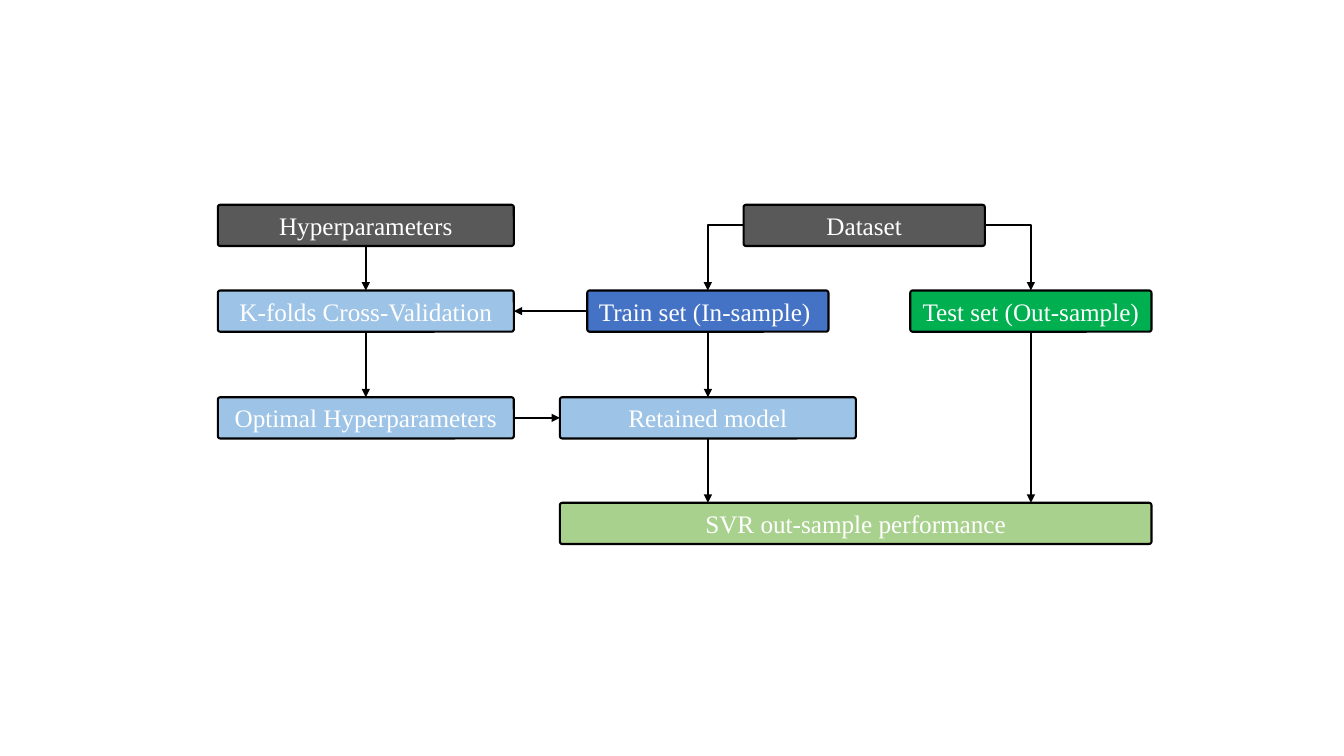
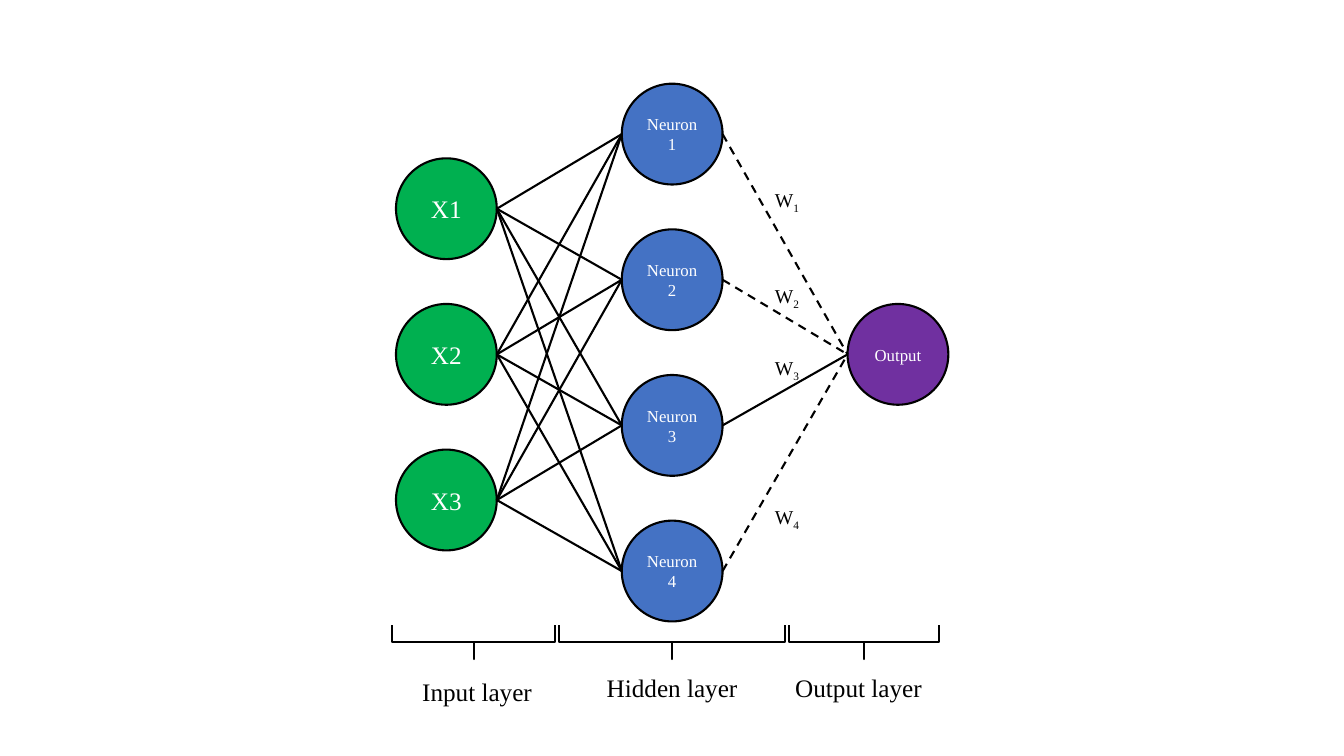
import lxml.etree
import pptx
import pptx.dml.color
import pptx.enum.dml
import pptx.enum.shapes
import pptx.enum.text
import pptx.oxml.ns
import pptx.util

Cm = pptx.util.Cm
SHAPES = pptx.enum.shapes.MSO_SHAPE
CONNECTORS = pptx.enum.shapes.MSO_CONNECTOR

COLORS = {
    "black": "000000",
    "white": "FFFFFF",
    "gray": "595959",
    "blue": "4472C4",
    "light blue": "9DC3E6",
    "green": "00B050",
    "light green": "A9D18E",
    "purple": "7030A0",
}
FONT = "Times New Roman"
LINE_WIDTH = 1.5
TOP, LEFT, BOTTOM, RIGHT = range(4)

BOX_HEIGHT = 1.04
WIDE, NARROW = 7.46, 6.08
ROWS = (5.16, 7.32, 10.01, 12.67)
TUNING_X, TRAIN_X, TEST_X = 9.22, 17.84, 25.98

CIRCLE = 2.54
CIRCLE_PITCH = 3.67
INPUT_LEFT, LAYER_PITCH = 9.98, 5.69
INPUT_TOP, HIDDEN_TOP = 3.99, 2.11


def color(name):
    return pptx.dml.color.RGBColor.from_string(COLORS[name])


def format_runs(paragraph, size, color_name):
    for run in paragraph.runs:
        run.font.name = FONT
        run.font.size = pptx.util.Pt(size)
        run.font.color.rgb = color(color_name)


def style_line(line):
    line.color.rgb = color("black")
    line.width = pptx.util.Pt(LINE_WIDTH)


def add_node(slide, kind, position, size, fill, text, font_size):
    """Add an outlined shape with centred white text; lengths in cm."""
    shape = slide.shapes.add_shape(kind, *map(Cm, (*position, *size)))
    shape.shadow.inherit = False
    shape.fill.solid()
    shape.fill.fore_color.rgb = color(fill)
    style_line(shape.line)
    frame = shape.text_frame
    frame.text = text
    frame.word_wrap = True
    frame.vertical_anchor = pptx.enum.text.MSO_ANCHOR.MIDDLE
    paragraph = frame.paragraphs[0]
    paragraph.alignment = pptx.enum.text.PP_ALIGN.CENTER
    format_runs(paragraph, font_size, "white")
    return shape


def add_box(slide, center_x, row, width, fill, text):
    position = (center_x - width / 2, ROWS[row])
    box = add_node(slide, SHAPES.ROUNDED_RECTANGLE, position, (width, BOX_HEIGHT), fill, text, 18)
    box.adjustments[0] = 0.06
    return box


def add_circle(slide, layer, top, fill, text, font_size):
    position = (INPUT_LEFT + layer * LAYER_PITCH, top)
    return add_node(slide, SHAPES.OVAL, position, (CIRCLE, CIRCLE), fill, text, font_size)


def add_line(slide, start, end, kind=CONNECTORS.STRAIGHT):
    connector = slide.shapes.add_connector(kind, *start, *end)
    style_line(connector.line)
    lxml.etree.SubElement(connector.element.spPr, pptx.oxml.ns.qn("a:effectLst"))
    return connector


def side_point(shape, side):
    middle_x = shape.left + shape.width // 2
    middle_y = shape.top + shape.height // 2
    return {
        TOP: (middle_x, shape.top),
        LEFT: (shape.left, middle_y),
        BOTTOM: (middle_x, shape.top + shape.height),
        RIGHT: (shape.left + shape.width, middle_y),
    }[side]


def add_arrow(slide, source, source_side, target, target_side, kind=CONNECTORS.STRAIGHT):
    arrow = add_line(slide, side_point(source, source_side), side_point(target, target_side), kind)
    arrow.begin_connect(source, source_side)
    arrow.end_connect(target, target_side)
    add_arrowhead(arrow)
    return arrow


def add_elbow_arrow(slide, source, source_side, target):
    """Add an arrow that leaves sideways and turns once, down to the target's top."""
    arrow = add_arrow(slide, source, source_side, target, TOP, CONNECTORS.ELBOW)
    arrow.element.spPr.find(pptx.oxml.ns.qn("a:prstGeom")).set("prst", "bentConnector2")


def add_drop_arrow(slide, source, target):
    """Add an arrow straight down to wherever it meets the target's top edge."""
    start = side_point(source, BOTTOM)
    arrow = add_line(slide, start, (start[0], target.top))
    arrow.begin_connect(source, BOTTOM)
    add_arrowhead(arrow)


def add_arrowhead(connector):
    line = connector.line.fill and connector.element.spPr.find(pptx.oxml.ns.qn("a:ln"))
    lxml.etree.SubElement(line, pptx.oxml.ns.qn("a:tailEnd"), type="triangle")


def add_label(slide, left, top, width, height, text, size, subscript=""):
    label = slide.shapes.add_textbox(*map(Cm, (left, top, width, height)))
    frame = label.text_frame
    frame.text = text
    frame.word_wrap = False
    frame.auto_size = pptx.enum.text.MSO_AUTO_SIZE.SHAPE_TO_FIT_TEXT
    paragraph = frame.paragraphs[0]
    if subscript:
        run = paragraph.add_run()
        run.text = subscript
        run.font.element.set("baseline", "-25000") if hasattr(run.font, "element") else \
            run._r.get_or_add_rPr().set("baseline", "-25000")
    format_runs(paragraph, size, "black")


def add_brace(slide, center_x, span):
    """Add a square brace that opens upwards over the given span."""
    depth, center_y = 0.86, 16.18
    brace = slide.shapes.add_shape(
        SHAPES.LEFT_BRACE,
        *map(Cm, (center_x - depth / 2, center_y - span / 2, depth, span)),
    )
    brace.rotation = 270
    brace.adjustments[0] = 0
    brace.shadow.inherit = False
    brace.fill.background()
    style_line(brace.line)


def build_workflow(slide):
    train = add_box(slide, TRAIN_X, 1, NARROW, "blue", "Train set (In-sample) ")
    dataset = add_box(slide, 21.78, 0, NARROW, "gray", "Dataset")
    test = add_box(slide, TEST_X, 1, NARROW, "green", "Test set (Out-sample) ")
    hyperparameters = add_box(slide, TUNING_X, 0, WIDE, "gray", "Hyperparameters")
    validation = add_box(slide, TUNING_X, 1, WIDE, "light blue", "K-folds Cross-Validation")
    optimal = add_box(slide, TUNING_X, 2, WIDE, "light blue", "Optimal Hyperparameters")
    model = add_box(slide, TRAIN_X, 2, WIDE, "light blue", "Retained model")

    left, right = TRAIN_X - WIDE / 2, TEST_X + NARROW / 2
    performance = add_box(slide, (left + right) / 2, 3, right - left, "light green",
                          "SVR out-sample performance")

    for source, source_side, target, target_side in (
        (hyperparameters, BOTTOM, validation, TOP),
        (validation, BOTTOM, optimal, TOP),
        (optimal, RIGHT, model, LEFT),
        (train, LEFT, validation, RIGHT),
        (train, BOTTOM, model, TOP),
    ):
        add_arrow(slide, source, source_side, target, target_side)
    add_elbow_arrow(slide, dataset, RIGHT, test)
    add_elbow_arrow(slide, dataset, LEFT, train)
    for source in (test, model):
        add_drop_arrow(slide, source, performance)


def build_network(slide):
    inputs = [
        add_circle(slide, 0, INPUT_TOP + i * CIRCLE_PITCH, "green", f"X{i + 1}", 18)
        for i in range(3)
    ]
    neurons = [
        add_circle(slide, 1, HIDDEN_TOP + i * CIRCLE_PITCH, "blue", f"Neuron {i + 1}", 12)
        for i in range(4)
    ]
    output = add_circle(slide, 2, INPUT_TOP + CIRCLE_PITCH, "purple", "Output", 12)

    for source in inputs:
        for neuron in neurons:
            add_line(slide, side_point(source, RIGHT), side_point(neuron, LEFT))

    weight_tops = (4.62, 7.04, 8.84, 12.6)
    for number, (neuron, top) in enumerate(zip(neurons, weight_tops), start=1):
        link = add_line(slide, side_point(neuron, RIGHT), side_point(output, LEFT))
        if number != 3:
            link.line.dash_style = pptx.enum.dml.MSO_LINE.DASH
        add_label(slide, 19.28, top, 1.14, 0.86, "W", 14, str(number))

    for center_x, span, left, top, width, text in (
        (11.94, 4.11, 10.39, 16.92, 3.33, "Input layer"),
        (16.94, 5.69, 15.04, 16.81, 3.81, "Hidden layer"),
        (21.77, 3.78, 19.79, 16.81, 3.78, "Output layer"),
    ):
        add_brace(slide, center_x, span)
        add_label(slide, left, top, width, 1.02, text, 18)


def main():
    presentation = pptx.Presentation()
    presentation.slide_width = Cm(33.87)
    presentation.slide_height = Cm(19.05)
    blank_layout = presentation.slide_layouts[6]
    for build in (build_workflow, build_network):
        build(presentation.slides.add_slide(blank_layout))
    presentation.save("out.pptx")


if __name__ == "__main__":
    main()
